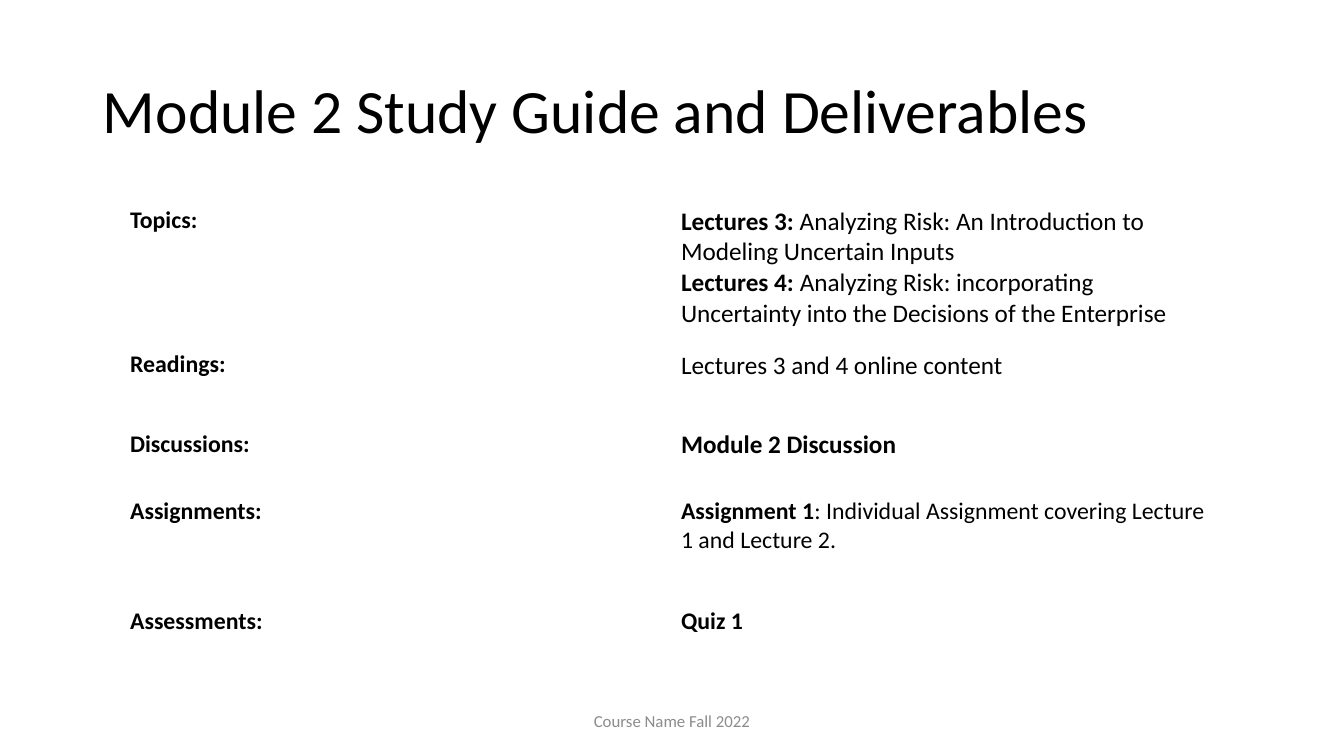
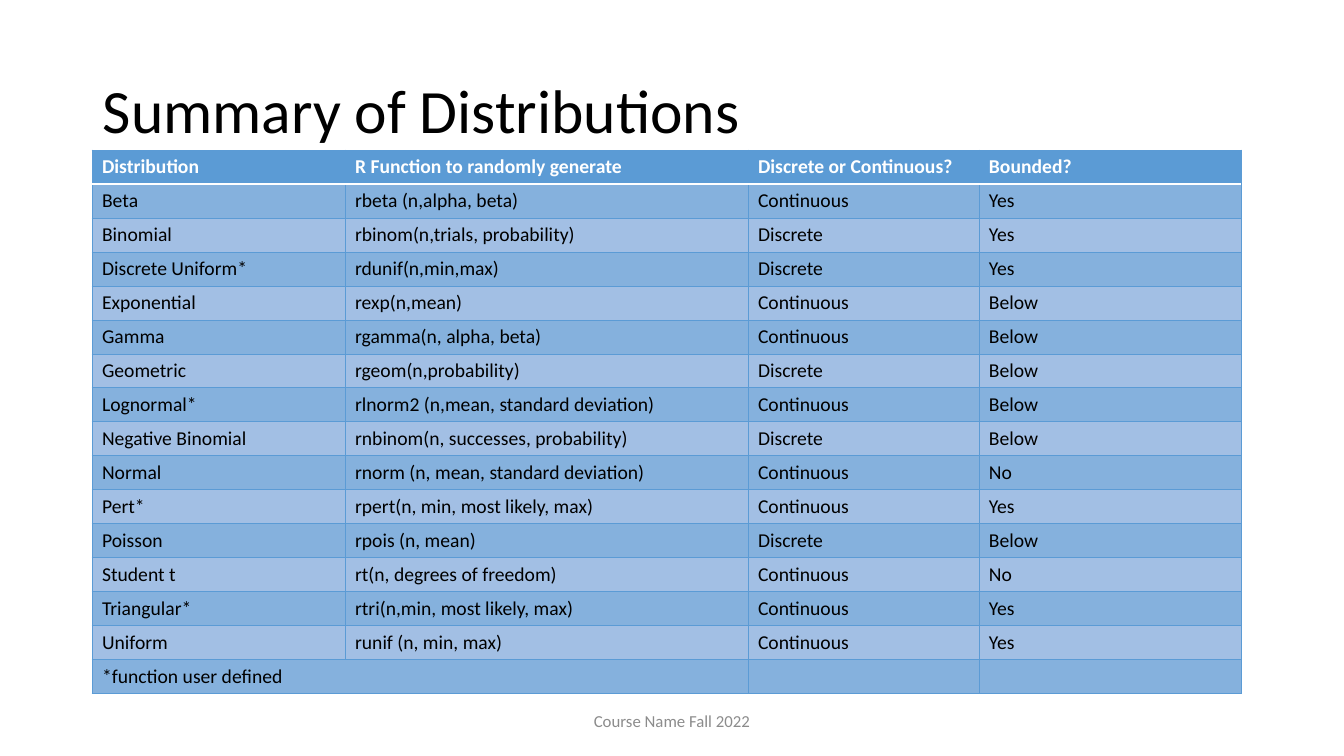
from lxml.etree import SubElement
from pptx import Presentation
from pptx.dml.color import RGBColor
from pptx.enum.text import MSO_ANCHOR, PP_ALIGN
from pptx.oxml.ns import qn
from pptx.util import Emu, Pt

FONT = "Calibri"
BLACK = RGBColor(0x00, 0x00, 0x00)
WHITE = RGBColor(0xFF, 0xFF, 0xFF)
GRAY = RGBColor(0x8C, 0x8C, 0x8C)
BLUE = RGBColor(0x5B, 0x9B, 0xD5)
BAND_DARK = RGBColor(0x85, 0xB1, 0xDD)
BAND_LIGHT = RGBColor(0xA2, 0xBF, 0xE4)

FOOTER = "Course Name Fall 2022"

# Each guide row: label, height, text size, (text, bold) pieces
GUIDE = [
    ("Topics:", 144, 18, [
        ("Lectures 3:", True),
        (" Analyzing Risk: An Introduction to Modeling Uncertain Inputs", False),
        ("\n", False),
        ("Lectures 4: ", True),
        ("Analyzing Risk: incorporating Uncertainty into the Decisions "
         "of the Enterprise", False)]),
    ("Readings:", 80, 18, [("Lectures 3 and 4 online content", False)]),
    ("Discussions:", 67, 18, [("Module 2 Discussion", True)]),
    ("Assignments:", 110, 17, [
        ("Assignment 1", True),
        (": Individual Assignment covering Lecture 1 and Lecture 2.", False)]),
    ("Assessments:", 38, 17, [("Quiz 1", True)]),
]

DISTRIBUTIONS = [
    ("Distribution", "R Function to randomly generate",
     "Discrete or Continuous?", "Bounded?"),
    ("Beta", "rbeta (n,alpha, beta)", "Continuous", "Yes"),
    ("Binomial", "rbinom(n,trials, probability)", "Discrete", "Yes"),
    ("Discrete Uniform*", "rdunif(n,min,max)", "Discrete", "Yes"),
    ("Exponential", "rexp(n,mean)", "Continuous", "Below"),
    ("Gamma", "rgamma(n, alpha, beta)", "Continuous", "Below"),
    ("Geometric", "rgeom(n,probability)", "Discrete", "Below"),
    ("Lognormal*", "rlnorm2 (n,mean, standard deviation)", "Continuous", "Below"),
    ("Negative Binomial", "rnbinom(n, successes, probability)", "Discrete", "Below"),
    ("Normal", "rnorm (n, mean, standard deviation)", "Continuous", "No"),
    ("Pert*", "rpert(n, min, most likely, max)", "Continuous", "Yes"),
    ("Poisson", "rpois (n, mean)", "Discrete", "Below"),
    ("Student t", "rt(n, degrees of freedom)", "Continuous", "No"),
    ("Triangular*", "rtri(n,min, most likely, max)", "Continuous", "Yes"),
    ("Uniform", "runif (n, min, max)", "Continuous", "Yes"),
    ("*function user defined", "", "", ""),
]


def px(length):
    return Emu(round(length * 914400 / 100.8))


def write(frame, pieces, size=18, color=BLACK, bold=False,
          align=PP_ALIGN.LEFT, spacing=None):
    """Fill a text frame with a string or with (text, bold) pieces."""
    if isinstance(pieces, str):
        pieces = [(pieces, bold)] if pieces else []
    frame.word_wrap = True
    paragraph = frame.paragraphs[0]
    paragraph.alignment = align
    paragraph.line_spacing = spacing
    for words, heavy in pieces:
        if words == "\n":
            paragraph.add_line_break()
            continue
        run = paragraph.add_run()
        run.text = words
        run.font.name = FONT
        run.font.size = Pt(size)
        run.font.bold = heavy
        run.font.color.rgb = color
    # Keeps the height of empty cells in step with the text size
    SubElement(paragraph._p, qn("a:endParaRPr"), sz=str(size * 100))


def add_text(slide, box, words, **style):
    frame = slide.shapes.add_textbox(*map(px, box)).text_frame
    frame.vertical_anchor = MSO_ANCHOR.MIDDLE
    write(frame, words, **style)


def add_page(deck, title):
    """Add a slide with the shared title and footer."""
    slide = deck.slides.add_slide(deck.slide_layouts[6])
    add_text(slide, (93, 41, 1159, 146), title, size=44, spacing=0.9)
    add_text(slide, (445, 701, 454, 40), FOOTER, size=12, color=GRAY,
             align=PP_ALIGN.CENTER)
    return slide


def add_grid(slide, left, top, widths, heights):
    """Add a plain table with the given column widths and row heights."""
    table = slide.shapes.add_table(
        len(heights), len(widths), px(left), px(top),
        px(sum(widths)), px(sum(heights))).table
    table.first_row = table.horz_banding = False
    for column, width in zip(table.columns, widths):
        column.width = px(width)
    for row, height in zip(table.rows, heights):
        row.height = px(height)
    return table


def set_border(cell, side, color, width):
    line = SubElement(cell._tc.get_or_add_tcPr(), qn(f"a:ln{side}"),
                      w=str(Pt(width)))
    fill = SubElement(line, qn("a:solidFill"))
    SubElement(fill, qn("a:srgbClr"), val=str(color))


def add_guide(slide):
    table = add_grid(slide, 120, 201, [551, 551], [row[1] for row in GUIDE])
    for number, (label, _, size, details) in enumerate(GUIDE):
        label_cell, detail_cell = table.cell(number, 0), table.cell(number, 1)
        label_cell.fill.background()
        detail_cell.fill.background()
        write(label_cell.text_frame, label, size=17, bold=True)
        write(detail_cell.text_frame, details, size=size)


def add_distributions(slide):
    table = add_grid(slide, 92, 150, [253, 403, 231, 262],
                     [34] * len(DISTRIBUTIONS))
    for number, row in enumerate(DISTRIBUTIONS):
        header = number == 0
        band = BLUE if header else BAND_DARK if number % 2 else BAND_LIGHT
        # The white rule lies between the header and the first body row
        white_side = {0: "B", 1: "T"}.get(number)
        for column, words in enumerate(row):
            cell = table.cell(number, column)
            for side in "LRTB":
                rule = (WHITE, 1) if side == white_side else (BLUE, 0.5)
                set_border(cell, side, *rule)
            cell.fill.solid()
            cell.fill.fore_color.rgb = band
            cell.vertical_anchor = MSO_ANCHOR.MIDDLE
            write(cell.text_frame, words, size=14, bold=header,
                  color=WHITE if header else BLACK)
    # The footnote spans two columns
    last = len(DISTRIBUTIONS) - 1
    table.cell(last, 0).merge(table.cell(last, 1))


def main():
    deck = Presentation()
    deck.slide_width, deck.slide_height = px(1344), px(756)
    add_guide(add_page(deck, "Module 2 Study Guide and Deliverables"))
    add_distributions(add_page(deck, "Summary of Distributions"))
    deck.save("out.pptx")


if __name__ == "__main__":
    main()
